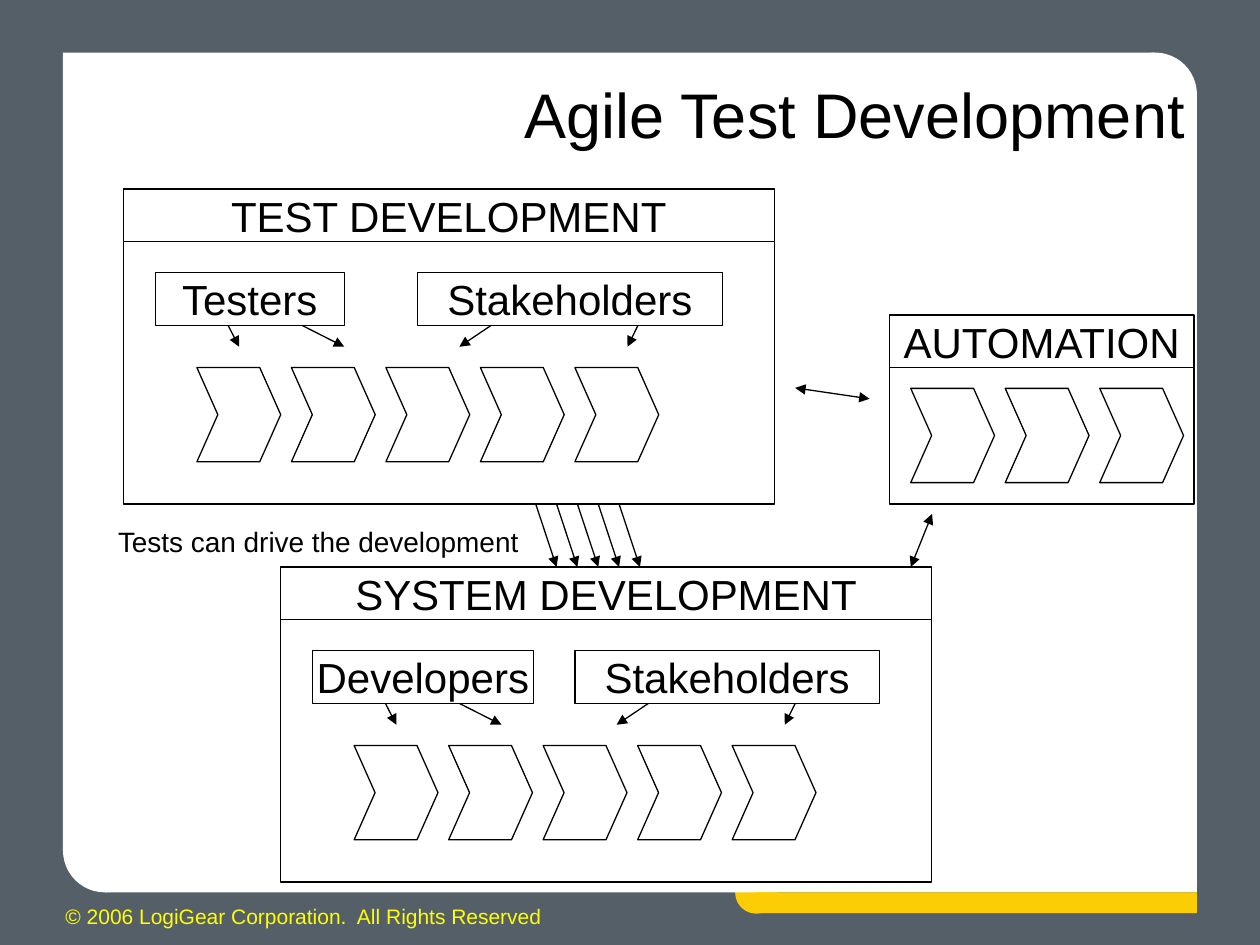
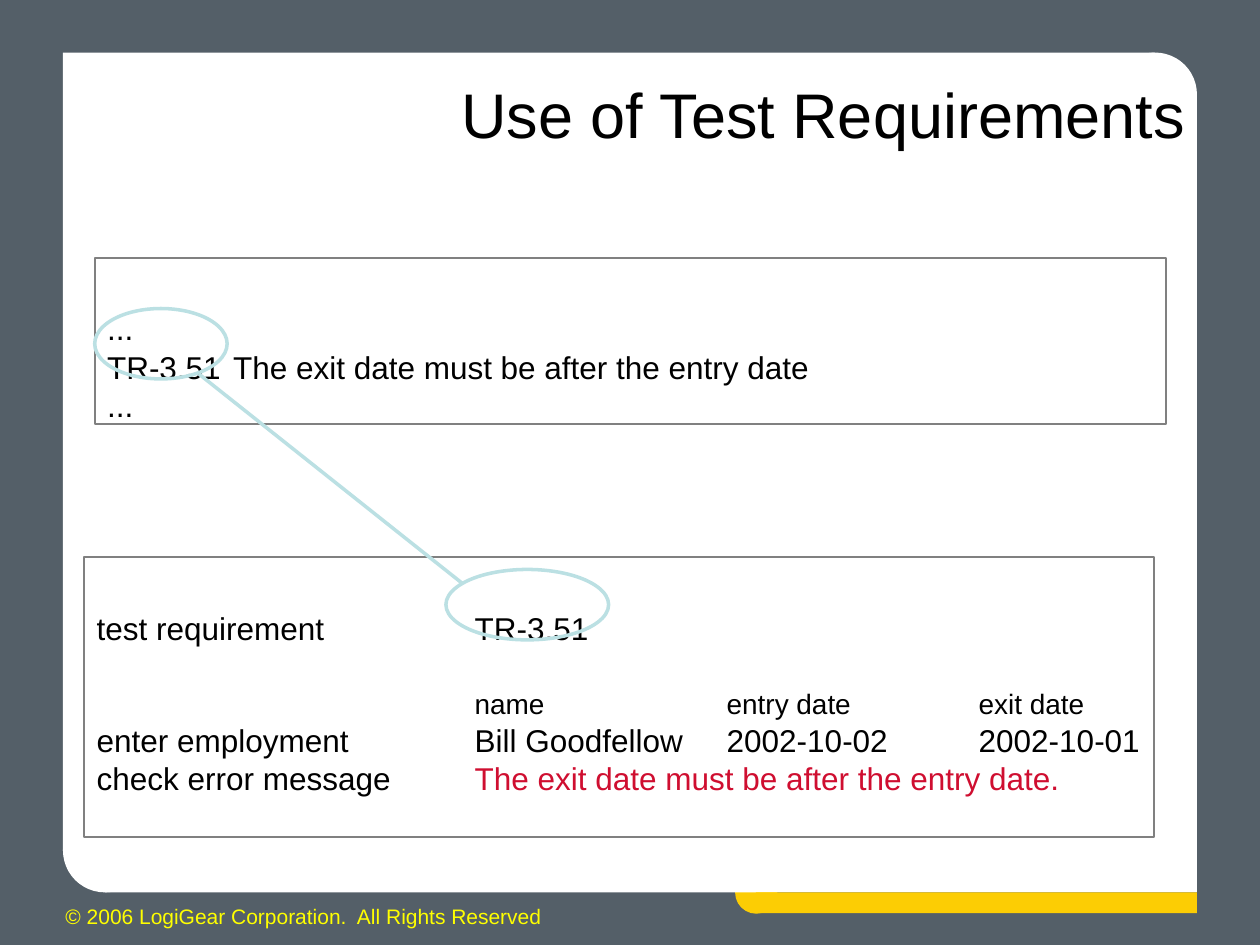
"""Build two slides on agile test development and test requirements."""
import pptx
import pptx.dml.color
import pptx.enum.shapes
import pptx.enum.text
import pptx.oxml
import pptx.oxml.ns
import pptx.util

Cm, Pt = pptx.util.Cm, pptx.util.Pt
RGB = pptx.dml.color.RGBColor.from_string
MSO = pptx.enum.shapes.MSO_SHAPE
ALIGN = pptx.enum.text.PP_ALIGN
ANCHOR = pptx.enum.text.MSO_ANCHOR
qn = pptx.oxml.ns.qn
NS = pptx.oxml.ns.nsdecls("a")
C = {
    "slate": "545F68", "white": "FFFFFF", "gold": "FCCD04", "yellow": "FFFF00",
    "black": "000000", "grey": "808080", "aqua": "BBE0E3", "red": "CF0E30",
}


def write(p, text, size, color="black"):
    r = p.add_run()
    r.text = text
    for k, v in {"name": "Arial", "size": Pt(size), "bold": False}.items():
        setattr(r.font, k, v)
    r.font.color.rgb = RGB(C[color])


def box(s, kind, at, fill=None, line=None, width=0.75, text=None):
    sp = s.shapes.add_shape(kind, *[Cm(v) for v in at])
    sp.shadow.inherit = False
    if fill:
        sp.fill.solid()
        sp.fill.fore_color.rgb = RGB(C[fill])
    else:
        sp.fill.background()
    if line:
        sp.line.color.rgb = RGB(C[line])
        sp.line.width = Pt(width)
    else:
        sp.line.fill.background()
    if text:
        tf = sp.text_frame
        for k, v in {"word_wrap": False, "vertical_anchor": ANCHOR.MIDDLE}.items():
            setattr(tf, k, v)
        tf.paragraphs[0].alignment = ALIGN.CENTER
        write(tf.paragraphs[0], text, 24)
    return sp


prs = pptx.Presentation()
prs.slide_width, prs.slide_height = Cm(25.4), Cm(19.05)
layout = prs.slide_layouts[5]
layout.background.fill.solid()
layout.background.fill.fore_color.rgb = RGB(C["slate"])
for ph in list(layout.placeholders):
    if ph.placeholder_format.idx:
        layout.shapes.element.remove(ph.element)

slides = []
for title in ["Agile Test Development", "Use of Test Requirements"]:
    s = prs.slides.add_slide(layout)
    slides.append(s)
    sp = s.shapes.title
    place = {"left": 6.56, "top": 0.94, "width": 17.58, "height": 2.67}
    for k, v in place.items():
        setattr(sp, k, Cm(v))
    tf = sp.text_frame
    frame = {
        "word_wrap": True, "vertical_anchor": ANCHOR.MIDDLE,
        "auto_size": pptx.enum.text.MSO_AUTO_SIZE.NONE,
    }
    for k, v in frame.items():
        setattr(tf, k, v)
    tf.paragraphs[0].alignment = ALIGN.RIGHT
    write(tf.paragraphs[0], title, 36)

process, example = slides

decor = [
    box(process, kind, at, fill)
    for kind, at, fill in [
        (MSO.OVAL, (14.82, 17.57, 0.85, 0.85), "gold"),
        (MSO.RECTANGLE, (1.27, 1.06, 22.86, 16.93), "white"),
        (MSO.RECTANGLE, (0.64, 17.15, 1.48, 1.48), "slate"),
        (MSO.OVAL, (1.27, 16.3, 1.69, 1.69), "white"),
        (MSO.RECTANGLE, (23.28, 0.42, 1.48, 1.48), "slate"),
        (MSO.OVAL, (22.44, 1.06, 1.69, 1.69), "white"),
        (MSO.RECTANGLE, (15.24, 17.99, 8.89, 0.42), "gold"),
    ]
]
footer = process.shapes.add_textbox(Cm(1.07), Cm(18.08), Cm(10.13), Cm(0.76))
footer.text_frame.word_wrap = False
write(footer.text_frame.paragraphs[0],
      "© 2006 LogiGear Corporation.  All Rights Reserved", 12, "yellow")
for sp in decor + [footer]:
    layout.shapes.element.append(sp.element)

lines = []
row_h = 1.06
panels = [
    ("TEST DEVELOPMENT", 2.49, 3.81, 13.12, 5.29, 5, 1.48, 3.6,
     [("Testers", 0.64, 3.81), ("Stakeholders", 5.93, 6.14)]),
    ("SYSTEM DEVELOPMENT", 5.66, 11.43, 13.12, 5.29, 5, 1.48, 3.6,
     [("Developers", 0.64, 4.45), ("Stakeholders", 5.93, 6.14)]),
    ("AUTOMATION", 17.93, 6.35, 6.14, 2.75, 3, 0.43, 1.48, []),
]
for name, x, y, w, body_h, steps, step_x, step_y, roles in panels:
    box(process, MSO.RECTANGLE, (x, y + row_h, w, body_h), line="black")
    box(process, MSO.RECTANGLE, (x, y, w, row_h), "white", "black", text=name)
    for i in range(steps):
        at = (x + step_x + i * 1.905, y + step_y, 1.69, 1.9)
        sp = box(process, MSO.CHEVRON, at, "white", "black")
        sp.adjustments[0] = 0.25
    for role, dx, role_w in roles:
        at = (x + dx, y + 1.69, role_w, row_h)
        box(process, MSO.RECTANGLE, at, "white", "black", text=role)
    if roles:
        for x1, x2 in [(2.11, 2.33), (3.6, 4.45), (7.41, 6.77), (10.37, 10.16)]:
            ends = (x + x1, y + 2.75, x + x2, y + 3.18)
            lines.append((process, ends, "black", 0.75, ["tailEnd"]))

note = process.shapes.add_textbox(Cm(2.13), Cm(10.44), Cm(8.64), Cm(0.94))
note.text_frame.word_wrap = False
write(note.text_frame.paragraphs[0], "Tests can drive the development", 16)
for i in range(5):
    x = 10.8 + i * 0.42
    lines.append((process, (x, 10.16, x + 0.42, 11.43), "black", 0.75, ["tailEnd"]))
for ends in [(16.03, 7.82, 17.53, 8.04), (18.36, 11.43, 18.79, 10.36)]:
    lines.append((process, ends, "black", 0.75, ["headEnd", "tailEnd"]))

listings = [
    ((1.91, 5.2, 21.59, 3.35), [2.54], [
        (0, 18, [("...", "black")]),
        (11.2, 18, [("TR-3.51\tThe exit date must be after the entry date", "black")]),
        (11.2, 18, [("...", "black")]),
    ]),
    ((1.7, 11.23, 21.56, 5.64), [7.62, 12.7, 17.78], [
        (0, 18, [("test requirement\tTR-3.51", "black")]),
        (32.5, 16, [("\tname\tentry date\texit date", "black")]),
        (11.2, 18, [("enter employment\tBill Goodfellow\t2002-10-02\t2002-10-01", "black")]),
        (11.2, 18, [("check error message\t", "black"),
                    ("The exit date must be after the entry date.", "red")]),
    ]),
]
for at, tabs, rows in listings:
    tf = box(example, MSO.RECTANGLE, at, "white", "grey", 1).text_frame
    frame = {"word_wrap": True, "vertical_anchor": ANCHOR.TOP, "margin_top": Cm(1.37)}
    for k, v in frame.items():
        setattr(tf, k, v)
    stops = "".join(f'<a:tab pos="{Cm(t)}" algn="l"/>' for t in tabs)
    for i, (before, size, runs) in enumerate(rows):
        p = tf.add_paragraph() if i else tf.paragraphs[0]
        spacing = {"alignment": ALIGN.LEFT, "line_spacing": 0.5, "space_before": Pt(before)}
        for k, v in spacing.items():
            setattr(p, k, v)
        tab_list = pptx.oxml.parse_xml(f"<a:tabLst {NS}>{stops}</a:tabLst>")
        p.line_spacing = 0.5
        p._p.get_or_add_pPr().append(tab_list)
        for text, color in runs:
            write(p, text, size, color)

for at in [(1.91, 6.22, 2.67, 1.42), (8.99, 11.48, 3.28, 1.42)]:
    box(example, MSO.OVAL, at, line="aqua", width=2)
lines.append((example, (4.01, 7.54, 9.32, 11.76), "aqua", 2, []))

for s, ends, color, width, heads in lines:
    cn = s.shapes.add_connector(
        pptx.enum.shapes.MSO_CONNECTOR.STRAIGHT, *[Cm(v) for v in ends])
    cn.line.color.rgb = RGB(C[color])
    cn.line.width = Pt(width)
    for head in heads:
        cn.line._get_or_add_ln().append(
            pptx.oxml.parse_xml(f'<a:{head} {NS} type="triangle"/>'))
    cn.element.find(qn("p:spPr")).append(pptx.oxml.parse_xml(f"<a:effectLst {NS}/>"))

prs.save("out.pptx")
